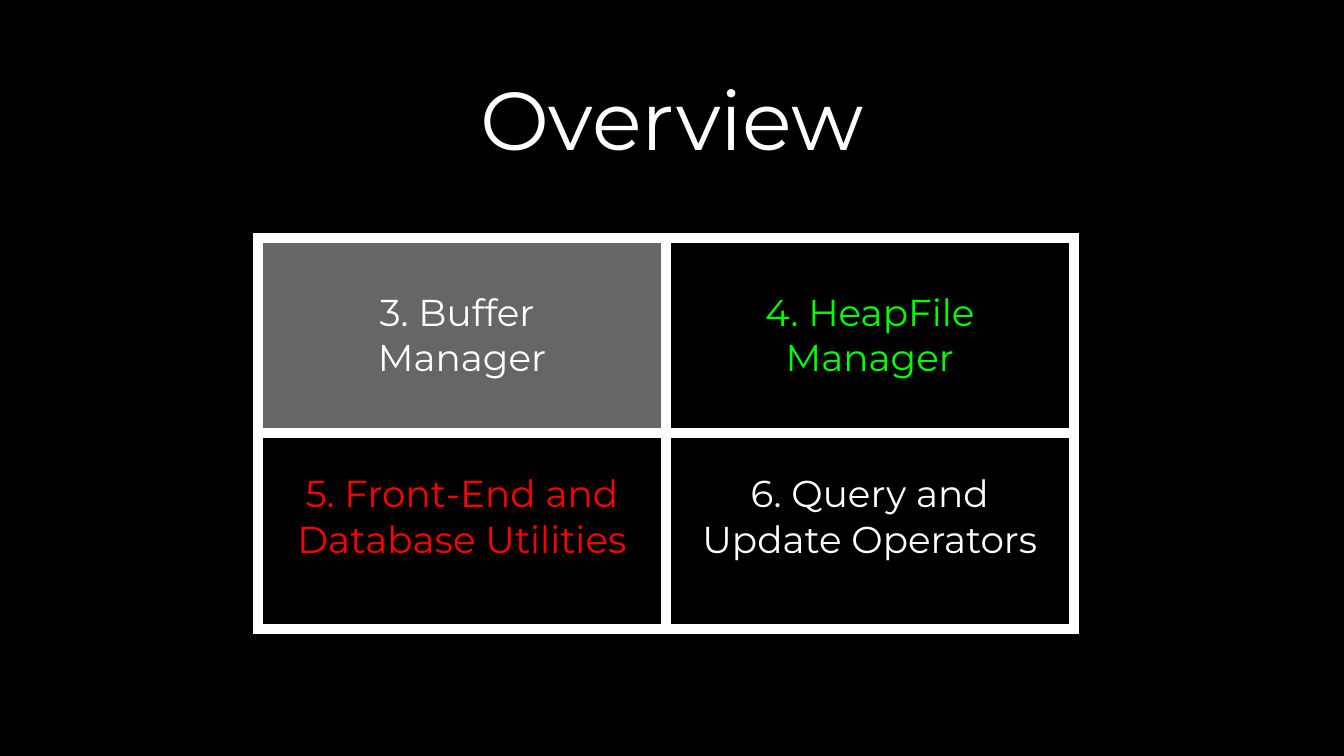
from dataclasses import dataclass

from lxml import etree
from pptx import Presentation
from pptx.dml.color import RGBColor
from pptx.enum import text
from pptx.oxml import ns
from pptx.util import Inches, Pt


@dataclass(frozen=True)
class Theme:
    font: str = "Montserrat"
    title_size: int = 44
    cell_size: int = 20
    border_width: int = 6
    background: str = "000000"
    foreground: str = "FFFFFF"
    highlight: str = "666666"
    green: str = "00FF00"
    red: str = "FF0000"


THEME = Theme()
MARGIN = 0.1
LOWER_ROW_LIFT = 0.21  # extra bottom margin that raises the second row's text

# Each topic: wording, text colour, fill (None for no fill)
TOPICS = [
    [("3. Buffer \vManager", THEME.foreground, THEME.highlight),
     ("4. HeapFile Manager", THEME.green, None)],
    [("5. Front-End and Database Utilities", THEME.red, None),
     ("6. Query and Update Operators", THEME.foreground, None)],
]


def style_paragraph(paragraph, size, color):
    paragraph.alignment = text.PP_ALIGN.CENTER
    paragraph.font.name = THEME.font
    paragraph.font.size = Pt(size)
    paragraph.font.bold = False
    paragraph.font.color.rgb = RGBColor.from_string(color)


def set_margins(holder, bottom=MARGIN):
    holder.margin_left = holder.margin_right = holder.margin_top = Inches(MARGIN)
    holder.margin_bottom = Inches(bottom)


def add_title(slide, wording, left, top, width, height):
    title = slide.shapes.title
    title.left, title.top = Inches(left), Inches(top)
    title.width, title.height = Inches(width), Inches(height)
    frame = title.text_frame
    frame.text = wording
    frame.word_wrap = True
    frame.auto_size = text.MSO_AUTO_SIZE.NONE
    frame.vertical_anchor = text.MSO_ANCHOR.BOTTOM
    set_margins(frame)
    style_paragraph(frame.paragraphs[0], THEME.title_size, THEME.foreground)


def add_borders(cell):
    """Draw all four sides; border elements must precede the cell's fill."""
    properties = cell._tc.get_or_add_tcPr()
    for position, side in enumerate(("lnL", "lnR", "lnT", "lnB")):
        line = etree.Element(ns.qn(f"a:{side}"), w=str(Pt(THEME.border_width)))
        fill = etree.SubElement(line, ns.qn("a:solidFill"))
        etree.SubElement(fill, ns.qn("a:srgbClr"), val=THEME.foreground)
        properties.insert(position, line)


def add_topic_grid(slide, topics, left, top, width, height):
    grid = slide.shapes.add_table(
        len(topics), len(topics[0]),
        Inches(left), Inches(top), Inches(width), Inches(height)).table
    grid.first_row = grid.horz_banding = False
    for r, row in enumerate(topics):
        for c, (wording, color, fill) in enumerate(row):
            cell = grid.cell(r, c)
            cell.text = wording
            cell.vertical_anchor = text.MSO_ANCHOR.MIDDLE
            set_margins(cell, MARGIN + r * LOWER_ROW_LIFT)
            if fill:
                cell.fill.solid()
                cell.fill.fore_color.rgb = RGBColor.from_string(fill)
            else:
                cell.fill.background()
            add_borders(cell)
            style_paragraph(cell.text_frame.paragraphs[0], THEME.cell_size, color)


def main():
    deck = Presentation()
    deck.slide_width = Inches(10)
    deck.slide_height = deck.slide_width * 9 // 16
    slide = deck.slides.add_slide(deck.slide_layouts.get_by_name("Title Only"))
    slide.background.fill.solid()
    slide.background.fill.fore_color.rgb = RGBColor.from_string(THEME.background)
    add_title(slide, "Overview", 0.34, 0.36, 9.32, 0.98)
    add_topic_grid(slide, TOPICS, 1.92, 1.77, 6.07, 2.91)
    deck.save("out.pptx")


if __name__ == "__main__":
    main()
